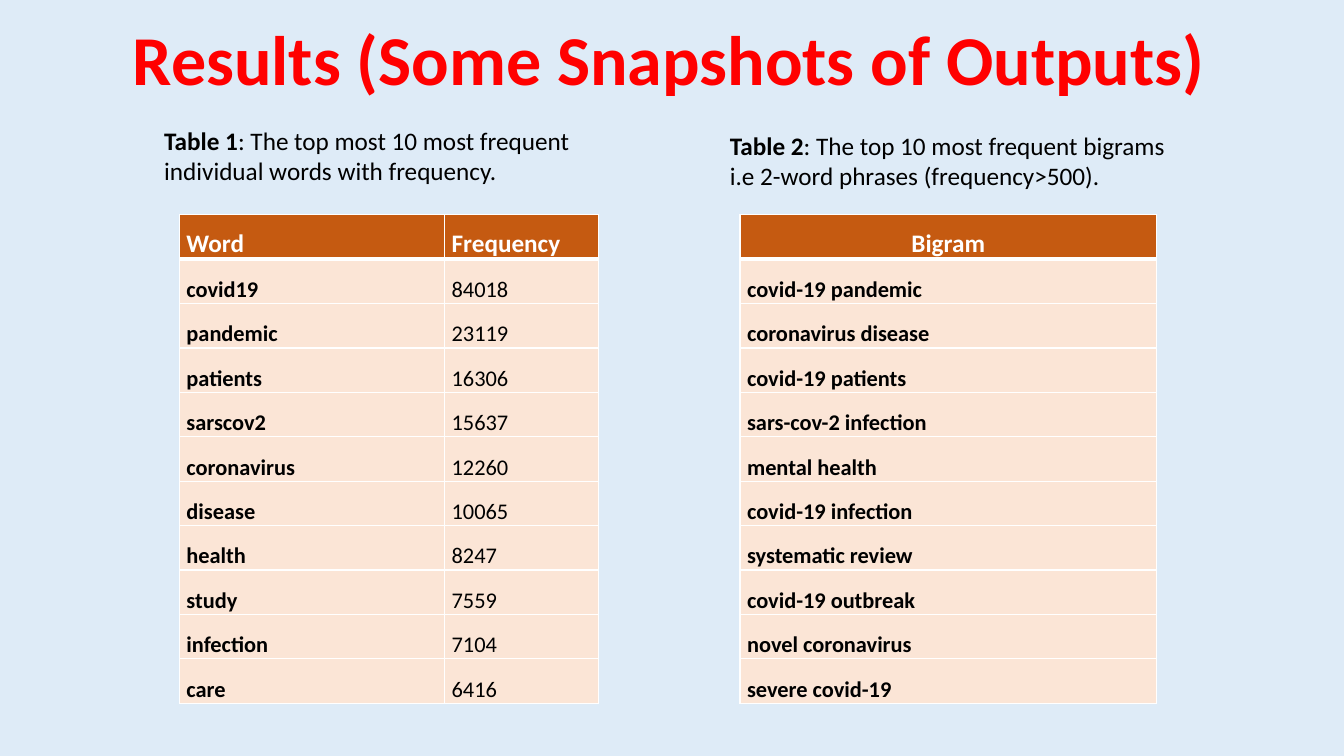
from lxml import etree
from pptx import Presentation
from pptx.dml.color import RGBColor
from pptx.enum import text
from pptx.oxml.ns import qn
from pptx.util import Inches, Pt

WORDS = [
    ("Word", "Frequency"),
    ("covid19", "84018"),
    ("pandemic", "23119"),
    ("patients", "16306"),
    ("sarscov2", "15637"),
    ("coronavirus", "12260"),
    ("disease", "10065"),
    ("health", "8247"),
    ("study", "7559"),
    ("infection", "7104"),
    ("care", "6416"),
]
BIGRAMS = [
    ("Bigram",),
    ("covid-19 pandemic",),
    ("coronavirus disease",),
    ("covid-19 patients",),
    ("sars-cov-2 infection",),
    ("mental health",),
    ("covid-19 infection",),
    ("systematic review",),
    ("covid-19 outbreak",),
    ("novel coronavirus",),
    ("severe covid-19",),
]
TABLE_TOP, TABLE_HEIGHT = 2.13, 4.85


def rgb(value):
    return RGBColor.from_string(value)


def style_run(r, size, color, bold):
    r.font.name = "Calibri"
    r.font.size = Pt(size)
    r.font.bold = bold
    r.font.color.rgb = rgb(color)


def add_text_box(s, x, y, w, h):
    tf = s.shapes.add_textbox(Inches(x), Inches(y), Inches(w), Inches(h)).text_frame
    tf.word_wrap = True
    return tf


def add_title(s, title):
    tf = add_text_box(s, 0, 0.36, 13.28, 0.69)
    tf.vertical_anchor = text.MSO_ANCHOR.BOTTOM
    p = tf.paragraphs[0]
    p.text = title
    p.alignment = text.PP_ALIGN.CENTER
    p.line_spacing = 0.9
    style_run(p.runs[0], 50, "FF0000", True)


def add_caption(s, x, y, w, label, description):
    tf = add_text_box(s, x, y, w, 0.71)
    tf.auto_size = text.MSO_AUTO_SIZE.SHAPE_TO_FIT_TEXT
    for part, bold in ((label, True), (description, False)):
        r = tf.paragraphs[0].add_run()
        r.text = part
        style_run(r, 18, "000000", bold)


def set_borders(cell, widths):
    """Draw white borders; widths maps L, R, T, B (in that order) to points."""
    tcPr = cell._tc.get_or_add_tcPr()
    for side, width in widths.items():
        ln = etree.SubElement(tcPr, qn(f"a:ln{side}"), w=str(Pt(width)))
        fill = etree.SubElement(ln, qn("a:solidFill"))
        etree.SubElement(fill, qn("a:srgbClr"), val="FFFFFF")


def fill_cell(cell, value, header, bold, align):
    # Each row's top edge is the bottom edge of the row above
    set_borders(cell, {"L": 1, "R": 1, "T": 1, "B": 3} if header
                else {"L": 1, "R": 1, "B": 1})
    cell.fill.solid()
    cell.fill.fore_color.rgb = rgb("C55A11" if header else "FBE5D6")
    cell.margin_left = cell.margin_right = Inches(0.07)
    cell.margin_top = cell.margin_bottom = 0
    cell.vertical_anchor = text.MSO_ANCHOR.BOTTOM
    p = cell.text_frame.paragraphs[0]
    p.text = value
    p.alignment = align
    p.line_spacing = 1.15
    style_run(p.runs[0], 18 if header else 16, "FFFFFF" if header else "000000", bold)


def add_ranking(s, x, col_widths, rows, header_align):
    table = s.shapes.add_table(len(rows), len(col_widths), Inches(x), Inches(TABLE_TOP),
                               Inches(sum(col_widths)), Inches(TABLE_HEIGHT)).table
    table.horz_banding = False
    for column, width in zip(table.columns, col_widths):
        column.width = Inches(width)
    for i, row in enumerate(rows):
        for j, value in enumerate(row):
            header = i == 0
            align = header_align if header else text.PP_ALIGN.LEFT
            fill_cell(table.cell(i, j), value, header, header or j == 0, align)


def main():
    prs = Presentation()
    prs.slide_width, prs.slide_height = Inches(13.33), Inches(7.5)
    s = prs.slides.add_slide(prs.slide_layouts[6])
    s.background.fill.solid()
    s.background.fill.fore_color.rgb = rgb("DEEBF7")

    add_title(s, "Results (Some Snapshots of Outputs)")
    add_ranking(s, 1.78, [2.63, 1.53], WORDS, text.PP_ALIGN.LEFT)
    add_ranking(s, 7.34, [4.13], BIGRAMS, text.PP_ALIGN.CENTER)
    add_caption(s, 1.53, 1.19, 4.42, "Table 1",
                ": The top most 10 most frequent individual words with frequency.")
    add_caption(s, 7.14, 1.24, 4.58, "Table 2",
                ": The top 10 most frequent bigrams i.e 2-word phrases (frequency>500).")
    prs.save("out.pptx")


if __name__ == "__main__":
    main()
